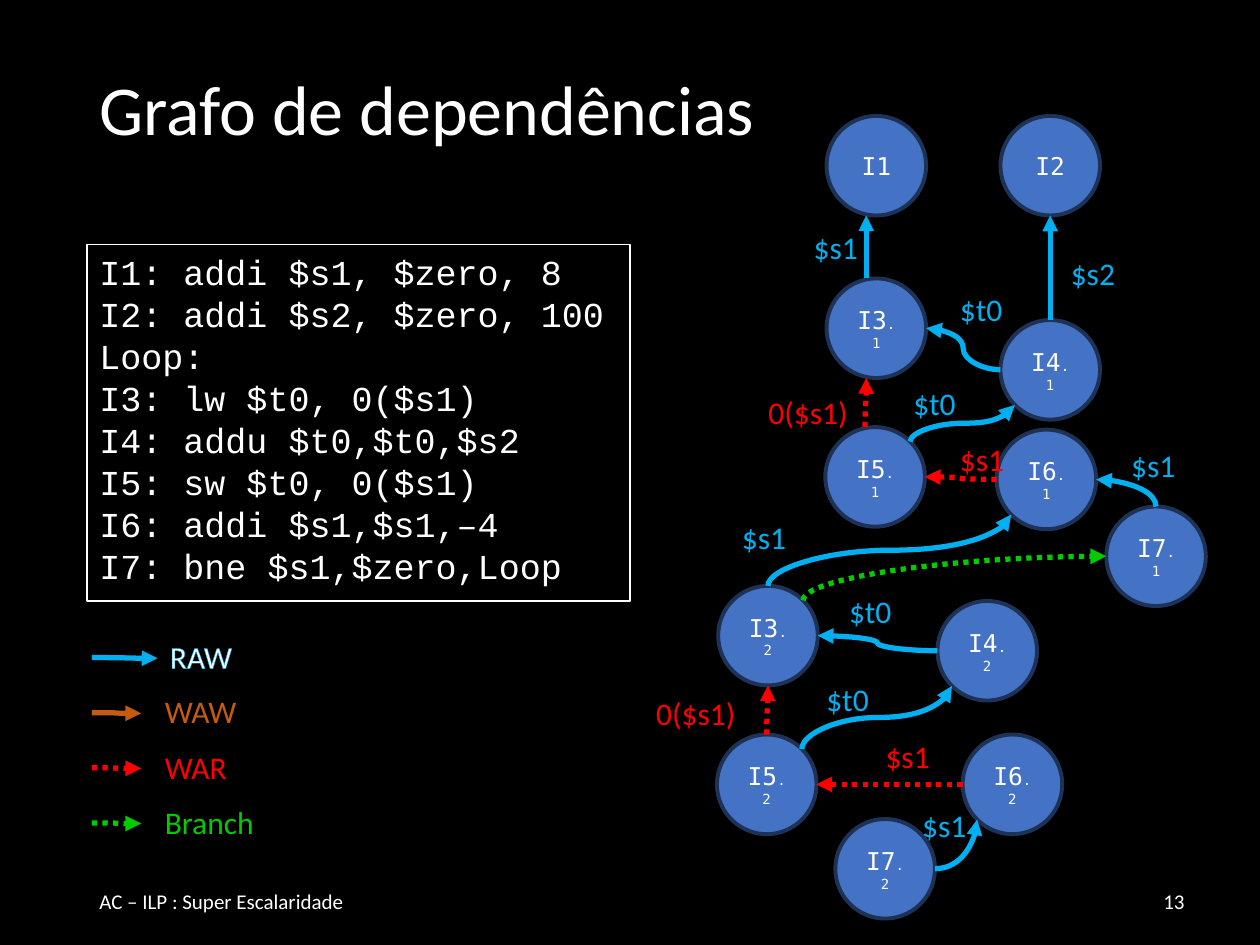
from dataclasses import dataclass
from math import sqrt
from lxml.etree import SubElement
from pptx import Presentation
from pptx.dml.color import RGBColor
from pptx.enum.dml import MSO_LINE
from pptx.enum.shapes import MSO_CONNECTOR, MSO_SHAPE
from pptx.enum.text import MSO_ANCHOR, PP_ALIGN
from pptx.oxml.ns import qn
from pptx.util import Emu, Inches, Pt


@dataclass(frozen=True)
class Theme:
    back: str = "000000"
    text: str = "FFFFFF"
    node: str = "4472C4"
    node_line: str = "1E3256"
    raw: str = "00B0F0"
    waw: str = "C55A11"
    war: str = "FF0000"
    branch: str = "00CC00"
    sans: str = "Calibri"
    code: str = "Courier New"
    mono: str = "DejaVu Sans Mono"
    title_size: int = 40
    code_size: int = 20
    label_size: int = 18
    node_size: int = 14
    footer_size: int = 12
    index_size: int = 8


T = Theme()
COLS, ROWS = 100, 75
CELL = Inches(10) / COLS
NODE = 7.9  # node diameter, in grid cells


def grid(*cells):
    return [Emu(round(c * CELL)) for c in cells]


def rgb(color):
    return RGBColor.from_string(color)


def write(p, text, size=T.label_size, font=T.sans, color=T.text, outline=None):
    r = p.add_run()
    r.text = text
    r.font.size, r.font.name = Pt(size), font
    r.font.color.rgb = rgb(color)
    if outline:
        ln = r._r.get_or_add_rPr().makeelement(qn("a:ln"), {"w": str(Pt(0.75))})
        fill = SubElement(ln, qn("a:solidFill"))
        SubElement(fill, qn("a:srgbClr"), val=outline)
        r._r.rPr.insert(0, ln)


def text_box(shapes, box, text, wrap=True, anchor=MSO_ANCHOR.MIDDLE,
             align=PP_ALIGN.LEFT, **fmt):
    sp = shapes.add_textbox(*grid(*box))
    tf = sp.text_frame
    tf.word_wrap, tf.vertical_anchor = wrap, anchor
    for i, line in enumerate(text.split("\n")):
        p = tf.paragraphs[0] if i == 0 else tf.add_paragraph()
        p.alignment = align
        write(p, line, **fmt)
    return sp


def label(shapes, x, y, w, text, **fmt):
    text_box(shapes, (x, y, w, 4), text, wrap=False, anchor=MSO_ANCHOR.TOP, **fmt)


def arrow(shapes, start, end, color, dotted=False, upright=False, bend=False):
    """Curved arrow; upright ones leave vertically, bent ones turn once."""
    (x1, y1), (x2, y2) = start, end
    if upright:  # the box of a connector turned by 90 degrees
        mx, my, dx, dy = (x1 + x2) / 2, (y1 + y2) / 2, x2 - x1, y2 - y1
        x1, y1, x2, y2 = mx - dy / 2, my + dx / 2, mx + dy / 2, my - dx / 2
    c = shapes.add_connector(MSO_CONNECTOR.CURVE, *grid(x1, y1, x2, y2))
    spPr = c._element.spPr
    if upright:
        spPr.find(qn("a:xfrm")).set("rot", str(90 * 60000))
    if bend:
        spPr.find(qn("a:prstGeom")).set("prst", "curvedConnector2")
    c.line.width = Pt(3)
    c.line.color.rgb = rgb(color)
    if dotted:
        c.line.dash_style = MSO_LINE.ROUND_DOT
    SubElement(spPr.find(qn("a:ln")), qn("a:tailEnd"), type="triangle")
    SubElement(spPr, qn("a:effectLst"))


def title(s, box, text):
    sp = s.shapes.title
    sp.left, sp.top, sp.width, sp.height = grid(*box)
    tf = sp.text_frame
    tf.vertical_anchor = MSO_ANCHOR.MIDDLE
    p = tf.paragraphs[0]
    p.alignment, p.line_spacing = PP_ALIGN.LEFT, 0.9
    write(p, text, size=T.title_size)


def code_panel(s, box, text):
    sp = text_box(s.shapes, box, text, anchor=MSO_ANCHOR.TOP,
                  size=T.code_size, font=T.code)
    sp.line.color.rgb, sp.line.width = rgb(T.text), Pt(0.75)


def legend(s, box):
    x, y, w, h = box
    # Rows: name, colour, dotted, label width
    rows = [("RAW", T.raw, False, 7.4), ("WAW", T.waw, False, 8.2),
            ("WAR", T.war, True, 7.4), ("Branch", T.branch, True, 9.4)]
    for i, (name, color, dotted, width) in enumerate(rows):
        first = i == 0
        cy = y + (i + 0.5) * h / len(rows)
        length = 5.2 if first else 3.9
        shapes = s.shapes.add_group_shape().shapes
        arrow(shapes, (x, cy), (x + length, cy + 0.05), color, dotted)
        label(shapes, x + (5.2 if first else 4.8), cy - 2.1, width, name,
              color=T.text if first else color, outline=color if first else None)


def graph(s, box):
    x0, y0 = box[:2]
    # Nodes: left and top within the region
    nodes = {
        "I1": (14.6, 0.2), "I2": (28.4, 0.2),
        "I3.1": (14.6, 13.1), "I4.1": (28.4, 16.4), "I5.1": (14.5, 24.9),
        "I6.1": (28.1, 25.1), "I7.1": (36.8, 31.2),
        "I3.2": (6, 37.5), "I4.2": (23.4, 38.7), "I5.2": (5.9, 49.3),
        "I6.2": (25.4, 49.3), "I7.2": (15.3, 56)}
    for name, (x, y) in nodes.items():
        sp = s.shapes.add_shape(MSO_SHAPE.OVAL, *grid(x0 + x, y0 + y, NODE, NODE))
        sp.shadow.inherit = False
        sp.fill.solid()
        sp.fill.fore_color.rgb = rgb(T.node)
        sp.line.color.rgb, sp.line.width = rgb(T.node_line), Pt(2.25)
        tf = sp.text_frame
        tf.word_wrap, tf.vertical_anchor = True, MSO_ANCHOR.MIDDLE
        p = tf.paragraphs[0]
        p.alignment = PP_ALIGN.CENTER
        write(p, name[:2], size=T.node_size, font=T.mono)
        if name[2:]:
            write(p, name[2:], size=T.index_size, font=T.mono)

    def site(name, side, shift):
        """Point on a node's rim, named by compass direction."""
        x, y = nodes[name]
        r = NODE / 2 / sqrt(len(side))
        dx = ("e" in side) - ("w" in side)
        dy = ("s" in side) - ("n" in side)
        return (x0 + x + NODE / 2 + r * dx + shift, y0 + y + NODE / 2 + r * dy)

    # Edges: from, side, to, side, colour, shift, label and its place
    edges = [
        ("I3.1", "n", "I1", "s", T.raw, -0.8, "$s1", 12.6, 8.6),
        ("I4.1", "w", "I3.1", "e", T.raw, 0, "$t0", 24.2, 13.5),
        ("I4.1", "n", "I2", "s", T.raw, 0, "$s2", 33, 10.7),
        ("I5.1", "n", "I3.1", "s", T.war, -0.8, "0($s1)", 9, 21.7),
        ("I5.1", "ne", "I4.1", "sw", T.raw, 0, "$t0", 20.5, 21),
        ("I6.1", "w", "I5.1", "e", T.war, 0, "$s1", 24.2, 25.4),
        ("I7.1", "n", "I6.1", "e", T.raw, 0, "$s1", 37.8, 25.9),
        ("I4.2", "w", "I3.2", "e", T.raw, 0, "$t0", 15.4, 37.5),
        ("I5.2", "n", "I3.2", "s", T.war, 0, "0($s1)", 0.1, 45.6),
        ("I5.2", "ne", "I4.2", "sw", T.raw, 0, "$t0", 13.6, 44.5),
        ("I6.2", "w", "I5.2", "e", T.war, 0, "$s1", 18.3, 49),
        ("I7.2", "e", "I6.2", "sw", T.raw, 0, "$s1", 21.2, 54.5),
        ("I3.2", "n", "I6.1", "sw", T.raw, 0, "$s1", 6.9, 31.6),
        ("I3.2", "ne", "I7.1", "w", T.branch, 0, "", 0, 0)]
    for a, side_a, b, side_b, color, shift, text, x, y in edges:
        shapes = s.shapes.add_group_shape().shapes if text else s.shapes
        upright = side_a not in "ew"
        arrow(shapes, site(a, side_a, shift), site(b, side_b, shift), color,
              dotted=color != T.raw, upright=upright,
              bend=upright != (side_b not in "ew"))
        if text:
            label(shapes, x0 + x, y0 + y, 8.4 if "(" in text else 5.6, text, color=color)


def footer(s, box, text, number):
    x, y, w, h = box
    text_box(s.shapes, (x, y, w / 2, h), text, size=T.footer_size)
    text_box(s.shapes, (x + w / 2, y, w / 2, h), number, align=PP_ALIGN.RIGHT,
             size=T.footer_size)


CODE = """I1: addi $s1, $zero, 8
I2: addi $s2, $zero, 100
Loop:
I3: lw $t0, 0($s1)
I4: addu $t0,$t0,$s2
I5: sw $t0, 0($s1)
I6: addi $s1,$s1,–4
I7: bne $s1,$zero,Loop"""


def main():
    prs = Presentation()
    prs.slide_width, prs.slide_height = grid(COLS, ROWS)
    s = prs.slides.add_slide(prs.slide_layouts[5])
    s.background.fill.solid()
    s.background.fill.fore_color.rgb = rgb(T.back)
    title(s, (6.9, 4, 86.2, 9.9), "Grafo de dependências")
    footer(s, (6.9, 69.5, 88.1, 4), "AC – ILP : Super Escalaridade", "13")
    code_panel(s, (6.9, 19.4, 43.1, 28.3), CODE)
    legend(s, (7.3, 50, 14, 17.5))
    graph(s, (51, 9, 45, 64))
    prs.save("out.pptx")


if __name__ == "__main__":
    main()
